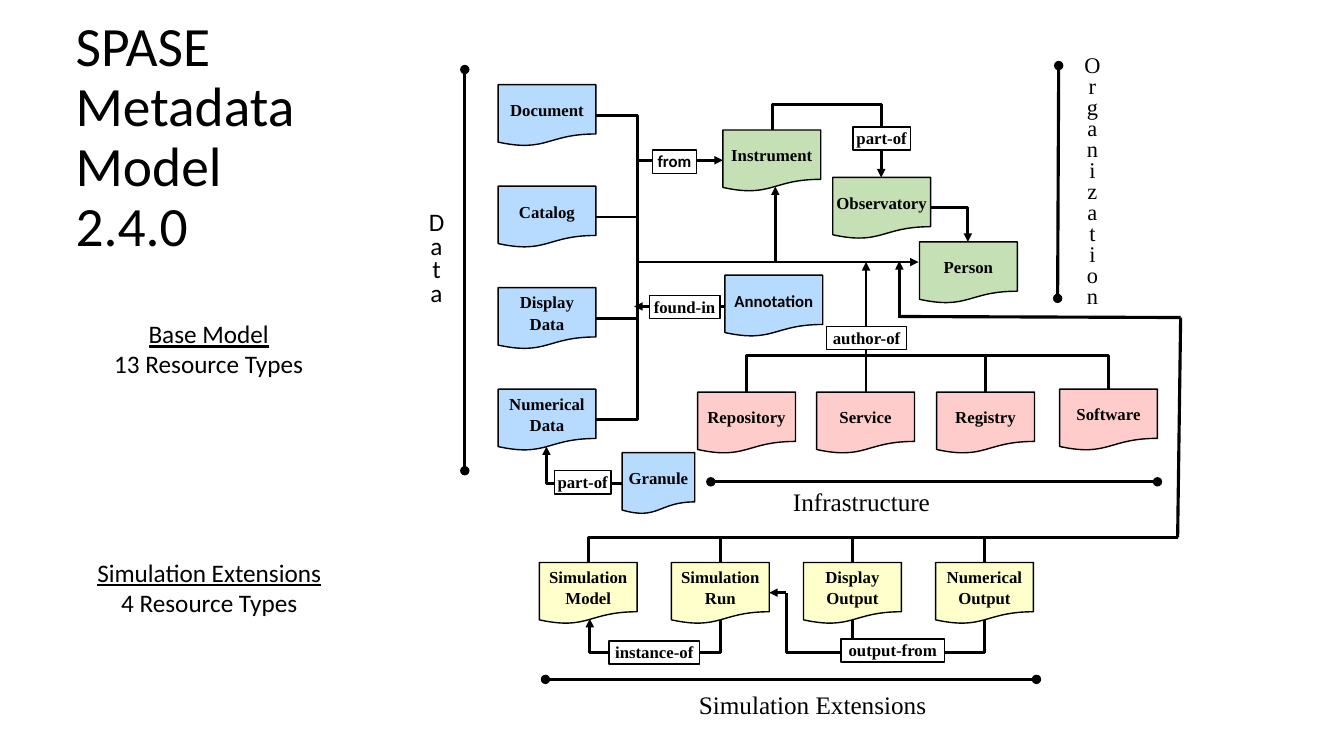
import dataclasses

import lxml.etree
import pptx
import pptx.dml.color
import pptx.enum.shapes
import pptx.enum.text
import pptx.oxml.ns
import pptx.util

COLORS = {"ink": "000000", "paper": "FFFFFF", "data": "B7DBFF",
          "organization": "C5E0B4", "infrastructure": "FFCCCC", "simulation": "FFFFCC"}
SERIF, SANS = "Times New Roman", "Calibri"
WIDTH, HEIGHT = 13.33, 7.5
CELL = 0.1  # grid columns and rows, in inches
CARD_WIDTH, CARD_HEIGHT = 9.7, 6.1
LABEL_HEIGHT = 2.3
SHAPES = pptx.enum.shapes.MSO_SHAPE
CONNECTORS = pptx.enum.shapes.MSO_CONNECTOR
ALIGN = pptx.enum.text.PP_ALIGN
ANCHOR = pptx.enum.text.MSO_ANCHOR


def rgb(name):
    return pptx.dml.color.RGBColor.from_string(COLORS[name])


def write(shape, text, size=12, font=SERIF, bold=False, align=ALIGN.CENTER, spacing=1.05,
          after=0, anchor=ANCHOR.TOP, insets=None, wrap=True, underline_first=False):
    """Put one paragraph per line of text; a vertical tab breaks within a paragraph."""
    frame = shape.text_frame
    frame.text = text
    frame.word_wrap = wrap
    frame.vertical_anchor = anchor
    if insets:
        (frame.margin_left, frame.margin_top, frame.margin_right,
         frame.margin_bottom) = [pptx.util.Inches(inset) for inset in insets]
    for index, paragraph in enumerate(frame.paragraphs):
        paragraph.alignment = align
        paragraph.line_spacing = spacing
        paragraph.space_before = pptx.util.Pt(0)
        paragraph.space_after = pptx.util.Pt(after)
        for run in paragraph.runs:
            run.font.size = pptx.util.Pt(size)
            run.font.name = font
            run.font.bold = bold
            run.font.underline = underline_first and index == 0
            run.font.color.rgb = rgb("ink")


@dataclasses.dataclass
class Region:
    """A part of the slide whose members are placed in grid cells from its corner."""
    slide: object
    column: float
    row: float

    def at(self, column, row):
        return (pptx.util.Inches((self.column + column) * CELL),
                pptx.util.Inches((self.row + row) * CELL))

    def box(self, kind, column, row, width, height, fill, outlined=True):
        shape = self.slide.shapes.add_shape(
            kind, *self.at(column, row),
            pptx.util.Inches(width * CELL), pptx.util.Inches(height * CELL))
        shape.shadow.inherit = False
        shape.fill.solid()
        shape.fill.fore_color.rgb = rgb(fill)
        if outlined:
            shape.line.color.rgb = rgb("ink")
            shape.line.width = pptx.util.Pt(1)
        else:
            shape.line.fill.background()
        return shape

    def card(self, text, column, row, fill, width=CARD_WIDTH, font=SERIF):
        shape = self.box(SHAPES.FLOWCHART_DOCUMENT, column, row, width, CARD_HEIGHT, fill)
        write(shape, text, font=font, bold=True, after=8, anchor=ANCHOR.MIDDLE,
              insets=(0, 0, 0, 0))

    def label(self, text, column, row, width, font=SERIF):
        shape = self.box(SHAPES.RECTANGLE, column, row, width, LABEL_HEIGHT, "paper")
        write(shape, text, font=font, bold=True, insets=(0.02, 0, 0.02, 0.01))

    def heading(self, text, column, row, width, height, size=18, font=SERIF, pitch=18):
        shape = self.box(SHAPES.RECTANGLE, column, row, width, height, "paper", False)
        write(shape, text, size=size, font=font, spacing=pptx.util.Pt(pitch), wrap=False)

    def line(self, start, end, head=None, tail=None, weight=2, kind=CONNECTORS.STRAIGHT):
        connector = self.slide.shapes.add_connector(kind, *self.at(*start), *self.at(*end))
        connector.line.color.rgb = rgb("ink")
        connector.line.width = pptx.util.Pt(weight)
        outline = connector.line._get_or_add_ln()
        for tag, style in (("a:headEnd", head), ("a:tailEnd", tail)):
            if style:
                lxml.etree.SubElement(outline, pptx.oxml.ns.qn(tag), type=style)
        properties = connector._element.spPr
        lxml.etree.SubElement(properties, pptx.oxml.ns.qn("a:effectLst"))
        return connector

    def arrow(self, start, end):
        self.line(start, end, tail="triangle")

    def bar(self, start, end):
        self.line(start, end, head="oval", tail="oval", weight=2.25)

    def elbow(self, start, end, tail=None):
        """Run across from start, then up or down to end."""
        connector = self.line(start, end, tail=tail, kind=CONNECTORS.ELBOW)
        geometry = connector._element.spPr.find(pptx.oxml.ns.qn("a:prstGeom"))
        geometry.set("prst", "bentConnector2")


def add_title(slide):
    title = slide.shapes.title
    title.left, title.top = pptx.util.Inches(0.65), pptx.util.Inches(0.65)
    title.width, title.height = pptx.util.Inches(3.36), pptx.util.Inches(1.45)
    write(title, "SPASE\vMetadata\vModel\v2.4.0", size=39.6, font=SANS, align=ALIGN.LEFT,
          spacing=0.9, anchor=ANCHOR.MIDDLE)


def add_caption(region, text, width):
    shape = region.slide.shapes.add_textbox(
        *region.at(0, 0), pptx.util.Inches(width * CELL), pptx.util.Inches(0.71))
    write(shape, text, size=18, font=SANS, spacing=1, wrap=False, underline_first=True)


def add_data(region):
    trunk, main_row, card_left, pitch = 22.2, 20, 8.4, 10.07
    card_right = card_left + CARD_WIDTH
    region.heading("\n".join("Data"), 0.5, 14.6, 3.6, 15, font=SANS, pitch=17)
    region.bar((5.1, 0.9), (5.1, 40.7))
    names = ["Document", "Catalog", "Display\vData", "Numerical Data"]
    for index, name in enumerate(names):
        row = 2.4 + index * pitch
        region.card(name, card_left, row, "data")
        stub = (card_right, row + CARD_HEIGHT / 2)
        if index in (0, len(names) - 1):
            region.elbow(stub, (trunk, main_row))
        else:
            region.line(stub, (trunk, stub[1]))
    region.card("Annotation", 30.9, 21.3, "data", font=SANS)
    region.card("Granule", 20.7, 38.9, "data", width=7.2)
    region.arrow((trunk, main_row), (50.1, main_row))
    region.arrow((trunk, 9.9), (30.7, 9.9))
    region.arrow((30.9, 24.4), (21.9, 24.4))
    region.elbow((20.7, 42), (13.2, 38.3), tail="triangle")
    region.label("from", 23.7, 8.9, 4.4, font=SANS)
    region.label("found-in", 23.4, 23.3, 7)
    region.label("part-of", 14, 40.7, 5.6)


def add_organization(region):
    for name, column, row in (("Instrument", 1.7, 7.9), ("Observatory", 12.6, 12.6),
                              ("Person", 21.2, 19)):
        region.card(name, column, row, "organization")
    region.elbow((12, 5.4), (6.6, 7.9))
    region.elbow((12, 5.4), (17.4, 12.6), tail="triangle")
    region.elbow((22.3, 15.6), (26, 19), tail="triangle")
    region.arrow((6.9, 20.9), (6.9, 13.5))
    region.label("part-of", 14.6, 7.6, 5.7)
    region.bar((35, 1.5), (34.9, 24.6))
    region.heading("\n".join("Organization"), 36.5, 0.2, 3.7, 26.2, size=16, pitch=15)


def add_infrastructure(region):
    author, bus = 16.9, 10.3
    for name, column, row in (("Repository", 0.2, 13.9), ("Service", 12, 13.9),
                              ("Registry", 23.9, 13.9), ("Software", 36.1, 13.6)):
        region.card(name, column, row, "infrastructure")
        if name != "Service":
            region.elbow((author, bus), (column + CARD_WIDTH / 2, row))
    region.arrow((author, 13.9), (author, 1))
    region.label("author-of", 13, 7.4, 7.9)
    region.bar((1.5, 22.8), (45.8, 22.8))
    region.heading("Infrastructure", 8.6, 23.3, 15.7, 3.7)


def add_simulation(region):
    bus, card_row, pitch = 28.3, 30.8, 13.1
    below, link_row, author = 36.5, 39.7, 36.2
    names = ["Simulation Model", "Simulation Run", "Display Output", "Numerical Output"]
    centers = [0.5 + index * pitch + CARD_WIDTH / 2 for index in range(len(names))]
    for name, center in zip(names, centers):
        region.card(name, center - CARD_WIDTH / 2, card_row, "simulation")
    model, run, display, numerical = centers
    for center in (run, display, numerical):
        region.line((center, bus), (center, card_row))
    region.elbow((63.8, bus), (model, card_row))
    region.line((64.1, 6.5), (63.8, bus), weight=2.25)
    region.line((author, 6.4), (64.1, 6.5), weight=2.25)
    region.arrow((author, 6.5), (author, 0.9))
    region.elbow((12, link_row), (5.5, 36.4), tail="triangle")
    region.elbow((12, link_row), (run, below))
    region.line((display, below), (display, link_row))
    region.elbow((display, link_row), (25, 33.8))
    region.arrow((25, 33.8), (run + CARD_WIDTH / 2, 33.8))
    region.elbow((display, link_row), (numerical, below))
    region.label("instance-of", 7.4, 38.6, 9)
    region.label("output-from", 30.4, 38.4, 10.3)
    region.bar((1.1, 42.4), (49.8, 42.4))
    region.heading("Simulation Extensions", 15.3, 43.4, 24.6, 3.7)


def main():
    presentation = pptx.Presentation()
    presentation.slide_width = pptx.util.Inches(WIDTH)
    presentation.slide_height = pptx.util.Inches(HEIGHT)
    slide = presentation.slides.add_slide(presentation.slide_layouts[5])
    add_title(slide)
    add_caption(Region(slide, 10.2, 31.1), "Base Model\n13 Resource Types", 21)
    add_caption(Region(slide, 8.5, 54.8), "Simulation Extensions\n4 Resource Types", 24.5)
    add_data(Region(slide, 41, 6))
    add_organization(Region(slide, 70, 5))
    add_infrastructure(Region(slide, 69, 25))
    add_simulation(Region(slide, 53, 25))
    presentation.save("out.pptx")


if __name__ == "__main__":
    main()
